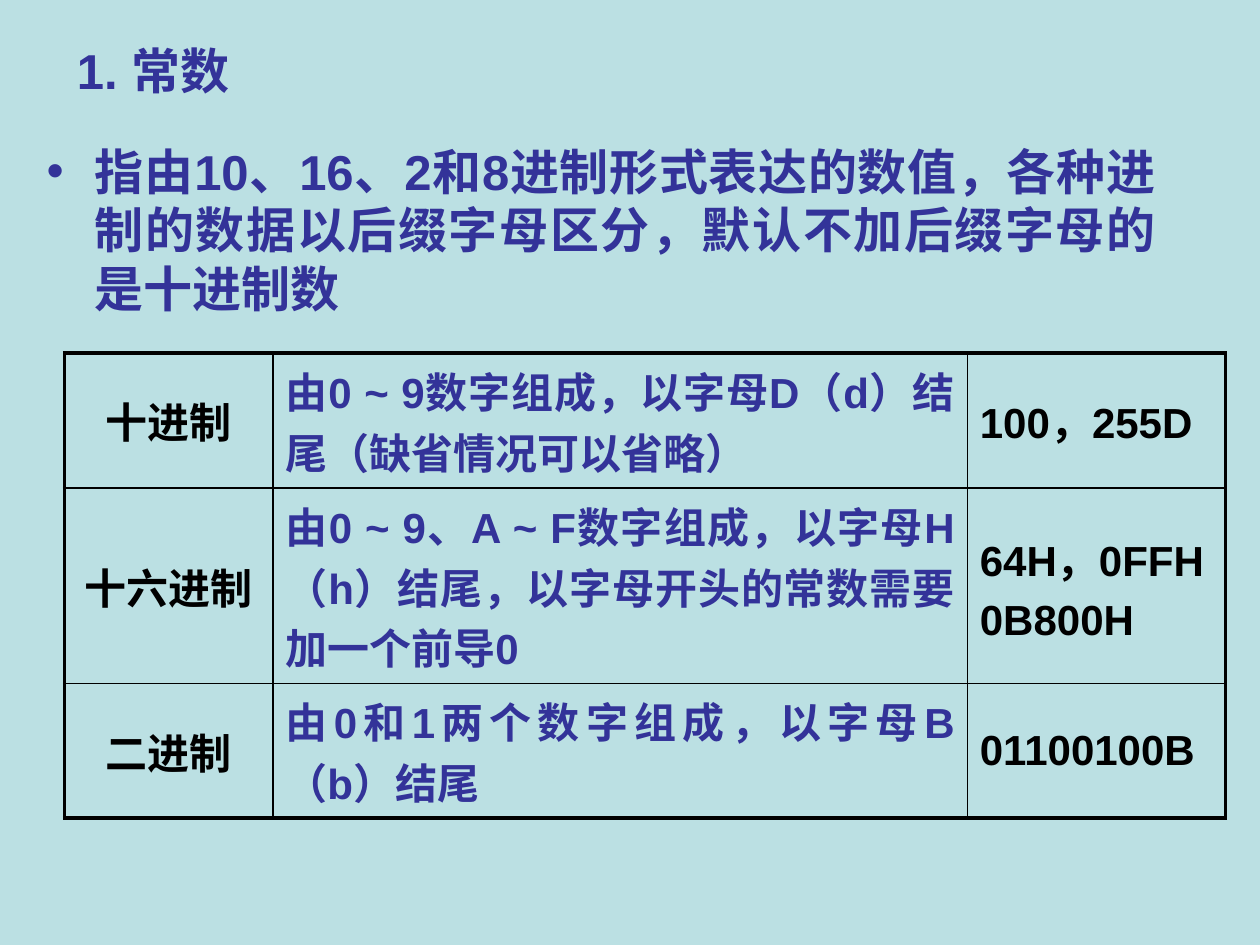
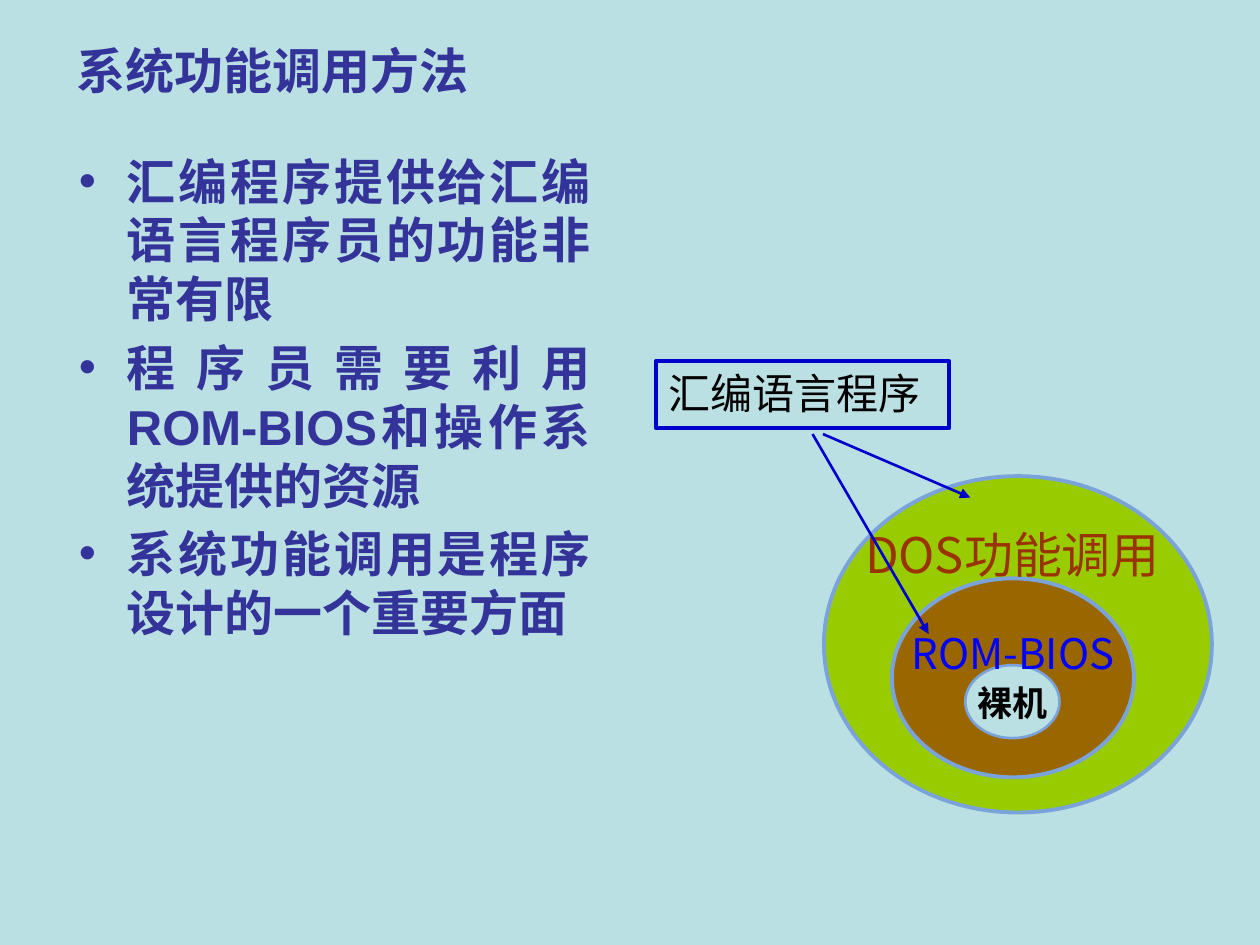
from lxml import etree
from pptx import Presentation
from pptx.dml.color import RGBColor
from pptx.enum.shapes import MSO_CONNECTOR, MSO_SHAPE
from pptx.enum.text import MSO_ANCHOR, PP_ALIGN
from pptx.oxml.ns import qn
from pptx.util import Cm, Pt

OVAL, RECT = MSO_SHAPE.OVAL, MSO_SHAPE.RECTANGLE
STRAIGHT = MSO_CONNECTOR.STRAIGHT
TOP, MIDDLE = MSO_ANCHOR.TOP, MSO_ANCHOR.MIDDLE
LEFT, CENTER, JUSTIFY = PP_ALIGN.LEFT, PP_ALIGN.CENTER, PP_ALIGN.JUSTIFY

COLORS = {
    "background": "BBE0E3",
    "text": "333399",
    "black": "000000",
    "ring_line": "7AA3DA",
    "dos_ring": "99CC00",
    "bios_ring": "996600",
    "dos_text": "993300",
    "bios_text": "0000FF",
    "program": "0000CC",
}
ARIAL, TIMES, CJK = "Arial", "Times New Roman", "Noto Sans CJK SC"
SPACE_BEFORE = 0.2  # share of the text size
BULLET_INDENT = Cm(0.97)

NUMBER_SYSTEMS = [
    ("十进制", "由0 ~ 9数字组成，以字母D（d）结尾（缺省情况可以省略）", "100，255D"),
    ("十六进制",
     "由0 ~ 9、A ~ F数字组成，以字母H（h）结尾，以字母开头的常数需要加一个前导0",
     "64H，0FFH\n0B800H"),
    ("二进制", "由0和1两个数字组成，以字母B（b）结尾", "01100100B"),
]


def rgb(color):
    return RGBColor.from_string(COLORS[color])


def add_color(parent, color):
    fill = etree.SubElement(parent, qn("a:solidFill"))
    etree.SubElement(fill, qn("a:srgbClr"), val=COLORS[color])


def write(frame, text, size, color, font=ARIAL, bold=False, align=LEFT, anchor=TOP):
    """Fill a text frame, one paragraph per line of text."""
    frame.text = text
    frame.vertical_anchor = anchor
    for index, paragraph in enumerate(frame.paragraphs):
        paragraph.alignment = align
        if index:
            paragraph.space_before = Pt(size * SPACE_BEFORE)
        for run in paragraph.runs:
            run.font.size, run.font.bold, run.font.name = Pt(size), bold, font
            run.font.color.rgb = rgb(color)
            etree.SubElement(run.font._element, qn("a:ea"), typeface=CJK)


def add_text(slide, box, text, size, color, wrap=True, **style):
    frame = slide.shapes.add_textbox(*map(Cm, box)).text_frame
    frame.word_wrap = wrap
    write(frame, text, size, color, **style)
    return frame


def add_title(slide, text):
    add_text(slide, (1.3, 0.72, 22.86, 1.4), text, 28, "text", bold=True, anchor=MIDDLE)


def add_bullets(slide, box, items):
    frame = add_text(slide, box, "\n".join(items), 28, "text", bold=True, align=JUSTIFY)
    for paragraph in frame.paragraphs:
        properties = paragraph._p.get_or_add_pPr()
        properties.set("marL", str(BULLET_INDENT))
        properties.set("indent", str(-BULLET_INDENT))
        etree.SubElement(properties, qn("a:buFont"), typeface=ARIAL)
        etree.SubElement(properties, qn("a:buChar"), char="•")


def add_outlined_label(slide, box, text, size, color):
    frame = add_text(slide, box, text, size, color, wrap=False, font=CJK, align=CENTER)
    outline = etree.Element(qn("a:ln"), w=str(Pt(0.75)))
    add_color(outline, color)
    frame.paragraphs[0].runs[0].font._element.insert(0, outline)


def add_figure(slide, kind, box, fill, line, width):
    figure = slide.shapes.add_shape(kind, *map(Cm, box))
    figure.shadow.inherit = False
    if fill:
        figure.fill.solid()
        figure.fill.fore_color.rgb = rgb(fill)
    else:
        figure.fill.background()
    figure.line.color.rgb = rgb(line)
    figure.line.width = Pt(width)
    return figure


def add_arrow(slide, start, end):
    arrow = slide.shapes.add_connector(STRAIGHT, *map(Cm, start + end))
    arrow.line.color.rgb = rgb("program")
    arrow.line.width = Pt(1.5)
    etree.SubElement(arrow.line._get_or_add_ln(), qn("a:tailEnd"), type="triangle")
    etree.SubElement(arrow._element.spPr, qn("a:effectLst"))


def set_borders(cell, outer_sides):
    properties = cell._tc.get_or_add_tcPr()
    for index, side in enumerate(("L", "R", "T", "B")):
        width = Pt(2.25 if side in outer_sides else 1)
        border = etree.Element(qn("a:ln" + side), w=str(width))
        add_color(border, "black")
        properties.insert(index, border)


def add_number_table(slide):
    widths, heights = (4.2, 14, 5.2), (2.72, 3.94, 2.71)
    box = (1.3, 7.12, sum(widths), sum(heights))
    table = slide.shapes.add_table(len(heights), len(widths), *map(Cm, box)).table
    table.first_row = table.horz_banding = False
    for column, width in zip(table.columns, widths):
        column.width = Cm(width)
    for row, height in zip(table.rows, heights):
        row.height = Cm(height)

    column_styles = [("black", CENTER, MIDDLE), ("text", JUSTIFY, TOP),
                     ("black", JUSTIFY, MIDDLE)]
    row_edges, column_edges = ("T", "", "B"), ("L", "", "R")
    for r, texts in enumerate(NUMBER_SYSTEMS):
        for c, (text, (color, align, anchor)) in enumerate(zip(texts, column_styles)):
            cell = table.cell(r, c)
            cell.fill.background()
            write(cell.text_frame, text, 24, color, bold=True, align=align)
            cell.vertical_anchor = anchor
            set_borders(cell, row_edges[r] + column_edges[c])


def add_system_layers(slide):
    # Nested rings
    add_figure(slide, OVAL, (16.61, 9.6, 7.82, 6.78), "dos_ring", "ring_line", 2.25)
    add_figure(slide, OVAL, (17.98, 11.66, 4.88, 4.01), "bios_ring", "ring_line", 2.25)
    add_figure(slide, OVAL, (19.46, 13.41, 1.9, 1.47), "background", "ring_line", 1.5)
    # Ring labels
    add_text(slide, (19.05, 13.61, 2.74, 1.09), "裸机", 20, "black",
             font=TIMES, bold=True, align=CENTER)
    add_outlined_label(slide, (17.92, 12.52, 5, 1.7), "ROM-BIOS", 24, "bios_text")
    add_outlined_label(slide, (16.91, 10.44, 7, 2.34), "DOS功能调用", 28, "dos_text")
    # Calling program
    program = add_figure(slide, RECT, (13.22, 7.28, 5.92, 1.35), None, "program", 2.25)
    write(program.text_frame, "汇编语言程序", 24, "black", font=TIMES)
    add_arrow(slide, (16.59, 8.75), (19.56, 10.03))
    add_arrow(slide, (16.38, 8.75), (18.72, 12.78))


def add_slide(deck, title):
    slide = deck.slides.add_slide(deck.slide_layouts[6])
    slide.background.fill.solid()
    slide.background.fill.fore_color.rgb = rgb("background")
    add_title(slide, title)
    return slide


def main():
    deck = Presentation()
    deck.slide_width, deck.slide_height = Cm(25.4), Cm(19.05)

    # Constants
    constants = add_slide(deck, "1. 常数")
    add_bullets(constants, (0.69, 2.72, 22.86, 3.99), [
        "指由10、16、2和8进制形式表达的数值，各种进制的数据以后缀字母区分，"
        "默认不加后缀字母的是十进制数"])
    add_number_table(constants)

    # System calls
    system_calls = add_slide(deck, "系统功能调用方法")
    add_bullets(system_calls, (1.34, 2.92, 10.82, 12.14), [
        "汇编程序提供给汇编语言程序员的功能非常有限",
        "程序员需要利用ROM-BIOS和操作系统提供的资源",
        "系统功能调用是程序设计的一个重要方面"])
    add_system_layers(system_calls)

    deck.save("out.pptx")


if __name__ == "__main__":
    main()
